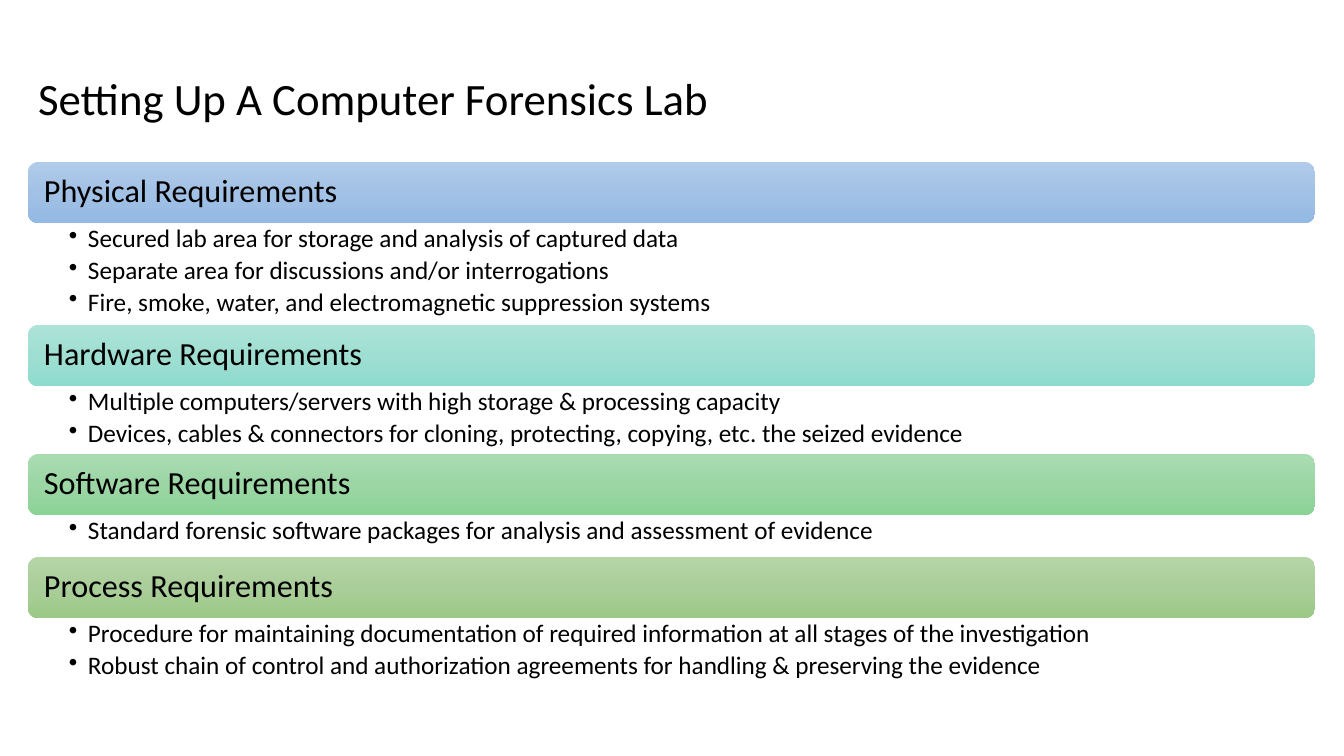
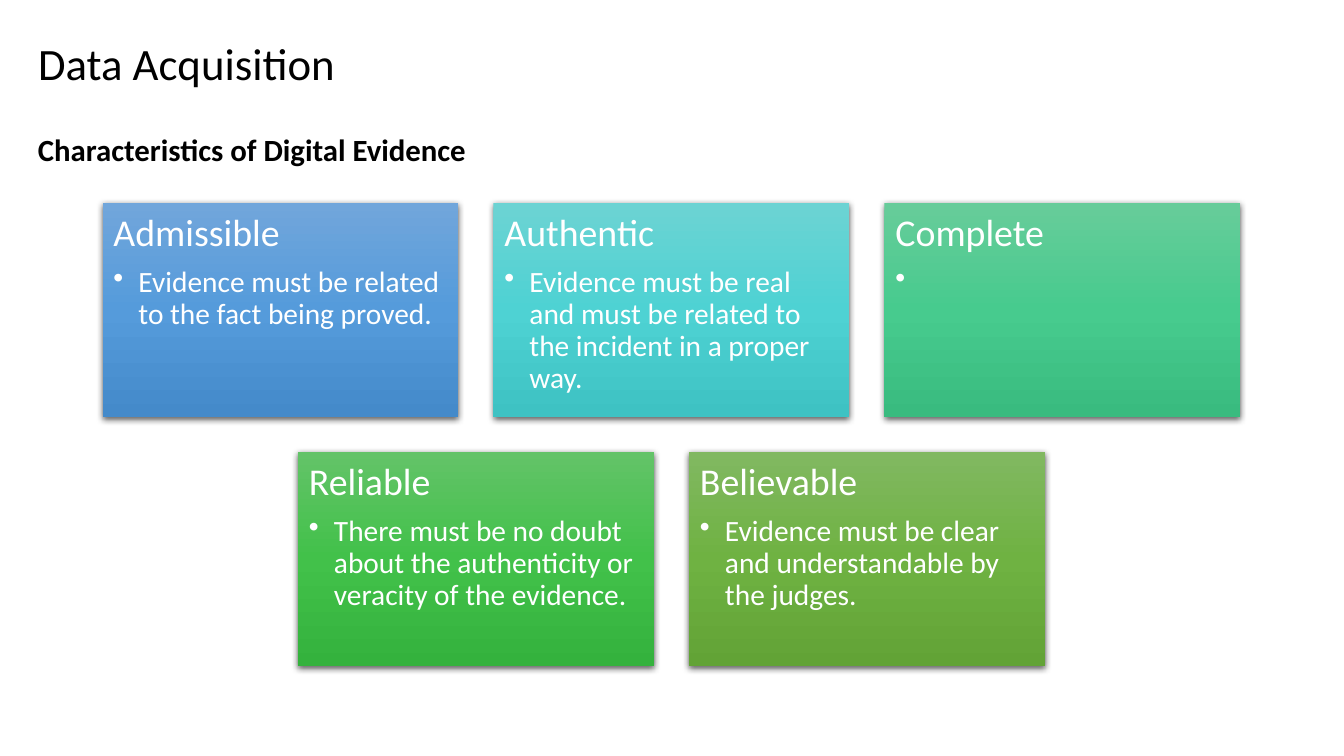
from copy import deepcopy
from dataclasses import dataclass

from lxml import etree
from pptx import Presentation
from pptx.dml.color import RGBColor
from pptx.enum.shapes import MSO_SHAPE
from pptx.enum.text import MSO_ANCHOR, MSO_AUTO_SIZE, PP_ALIGN
from pptx.oxml.ns import qn
from pptx.util import Pt

RECT, ROUND = MSO_SHAPE.RECTANGLE, MSO_SHAPE.ROUNDED_RECTANGLE
TOP, MIDDLE = MSO_ANCHOR.TOP, MSO_ANCHOR.MIDDLE
LEFT, JUSTIFY = PP_ALIGN.LEFT, PP_ALIGN.JUSTIFY
NO_FIT = MSO_AUTO_SIZE.NONE
TITLE_ONLY = 5
SCALE = 914400 / 100.8
WIDTH, HEIGHT = 1344, 756
MARGIN, CONTENT_W, TITLE_H = 28, 1287, 126
BAND_H = 61
CARD_W, CARD_H, CARD_GAP = 356, 214, 35


@dataclass(frozen=True)
class Theme:
    font: str = "Calibri"
    dark: str = "000000"
    light: str = "FFFFFF"
    title: int = 32
    subtitle: int = 22
    band: int = 23
    band_item: int = 18
    card: int = 27
    card_item: int = 21
    bands: tuple = (
        ("B1CBE9", "A3C1E5", "93B9E4"),
        ("ADE3D9", "9FDED2", "8EDCCE"),
        ("AADCB2", "9CD6A5", "8AD396"),
        ("B5D5A7", "AACE9A", "9CC987"),
    )
    cards: tuple = (
        ("71A6DB", "559BDB", "448ACA"),
        ("6CD3D3", "4ED2D3", "3EC2C3"),
        ("67CC9A", "47CB8E", "39BB7F"),
        ("63C368", "42C14A", "34B23D"),
        ("81B861", "6FB242", "62A336"),
    )


THEME = Theme()

REQUIREMENTS = [
    ("Physical Requirements", 102, [
        "Secured lab area for storage and analysis of captured data",
        "Separate area for discussions and/or interrogations",
        "Fire, smoke, water, and electromagnetic suppression systems"]),
    ("Hardware Requirements", 68, [
        "Multiple computers/servers with high storage & processing capacity",
        "Devices, cables & connectors for cloning, protecting, copying, etc. the seized evidence"]),
    ("Software Requirements", 42, [
        "Standard forensic software packages for analysis and assessment of evidence"]),
    ("Process Requirements", 68, [
        "Procedure for maintaining documentation of required information at all stages of the investigation",
        "Robust chain of control and authorization agreements for handling & preserving the evidence"]),
]

CHARACTERISTICS = [
    [("Admissible", "Evidence must be related to the fact being proved."),
     ("Authentic", "Evidence must be real and must be related to the incident in a proper way."),
     ("Complete", "\t")],
    [("Reliable", "There must be no doubt about the authenticity or veracity of the evidence."),
     ("Believable", "Evidence must be clear and understandable by the judges.")],
]


def px(n):
    return round(n * SCALE)


def box_emu(box):
    return [px(n) for n in box]


def set_frame(tf, insets=(10, 5, 10, 5), anchor=TOP):
    tf.word_wrap = True
    tf.auto_size = NO_FIT
    tf.vertical_anchor = anchor
    tf.margin_left, tf.margin_top, tf.margin_right, tf.margin_bottom = box_emu(insets)


def add_text(tf, text, size, color=THEME.dark, bold=False, align=LEFT,
             spacing=None, after=0, bullet=0):
    p = tf.paragraphs[0]
    if p.runs:
        p = tf.add_paragraph()
    p.alignment = align
    p.line_spacing = spacing
    p.space_before, p.space_after = Pt(0), Pt(after)
    if bullet:
        p.level = 1
        pPr = p._p.get_or_add_pPr()
        pPr.set("marL", str(px(bullet)))
        pPr.set("indent", str(-px(bullet)))
        etree.SubElement(pPr, qn("a:buChar")).set("char", "•")
    r = p.add_run()
    r.text = text
    r.font.name, r.font.size, r.font.bold = THEME.font, Pt(size), bold
    r.font.color.rgb = RGBColor.from_string(color)


def add_shadow(sp):
    effects = sp._element.spPr.find(qn("a:effectLst"))
    shadow = etree.SubElement(effects, qn("a:outerShdw"), blurRad=str(Pt(4.5)),
                              dist=str(Pt(1.5)), dir="5400000", rotWithShape="0")
    color = etree.SubElement(shadow, qn("a:srgbClr"), val=THEME.dark)
    etree.SubElement(color, qn("a:alpha"), val="63000")


def add_panel(s, kind, box, colors):
    sp = s.shapes.add_shape(kind, *box_emu(box))
    sp.shadow.inherit = False
    sp.line.fill.background()
    sp.fill.gradient()
    sp.fill.gradient_angle = 270
    stops = sp._element.spPr.find(".//" + qn("a:gsLst"))
    stops.append(deepcopy(stops[-1]))
    for stop, position, color in zip(sp.fill.gradient_stops, (0, 0.5, 1), colors):
        stop.position = position
        stop.color.rgb = RGBColor.from_string(color)
    return sp


def add_title_slide(prs, title, top):
    s = prs.slides.add_slide(prs.slide_layouts[TITLE_ONLY])
    sp = s.shapes.title
    sp.left, sp.top, sp.width, sp.height = box_emu((MARGIN, top, CONTENT_W, TITLE_H))
    set_frame(sp.text_frame, anchor=MIDDLE)
    add_text(sp.text_frame, title, THEME.title)
    return s


def add_requirement(s, box, heading, items, colors):
    x, y, w, h = box
    band = add_panel(s, ROUND, (x, y, w, BAND_H), colors)
    set_frame(band.text_frame, (13, 13, 13, 13), MIDDLE)
    add_text(band.text_frame, heading, THEME.band, spacing=0.9)
    body = s.shapes.add_textbox(*box_emu((x, y + BAND_H, w, h - BAND_H)))
    set_frame(body.text_frame, (41, 3, 18, 3))
    for item in items:
        add_text(body.text_frame, item, THEME.band_item, spacing=0.9, after=3.4, bullet=19)


def add_card(s, box, heading, detail, colors):
    sp = add_panel(s, RECT, box, colors)
    add_shadow(sp)
    tf = sp.text_frame
    set_frame(tf, (11, 11, 11, 11))
    add_text(tf, heading, THEME.card, THEME.light, spacing=0.9, after=9)
    add_text(tf, detail, THEME.card_item, THEME.light, spacing=0.9, after=3, bullet=25)


def add_cards(s, box, rows):
    x, y, w, h = box
    palette = iter(THEME.cards)
    for i, row in enumerate(rows):
        row_w = len(row) * (CARD_W + CARD_GAP) - CARD_GAP
        left = x + (w - row_w) / 2
        top = y + i * (CARD_H + CARD_GAP)
        for j, (heading, detail) in enumerate(row):
            card = (left + j * (CARD_W + CARD_GAP), top, CARD_W, CARD_H)
            add_card(s, card, heading, detail, next(palette))


def build_lab_slide(prs):
    s = add_title_slide(prs, "Setting Up A Computer Forensics Lab", 35)
    y = 162
    for (heading, body_h, items), colors in zip(REQUIREMENTS, THEME.bands):
        h = BAND_H + body_h
        add_requirement(s, (MARGIN, y, CONTENT_W, h), heading, items, colors)
        y += h


def build_evidence_slide(prs):
    s = add_title_slide(prs, "Data Acquisition", 0)
    subtitle = s.shapes.add_textbox(*box_emu((MARGIN, TITLE_H, CONTENT_W, 539)))
    set_frame(subtitle.text_frame)
    add_text(subtitle.text_frame, "Characteristics of Digital Evidence", THEME.subtitle,
             bold=True, align=JUSTIFY, after=12)
    add_cards(s, (MARGIN, 203, CONTENT_W, 463), CHARACTERISTICS)


prs = Presentation()
prs.slide_width, prs.slide_height = px(WIDTH), px(HEIGHT)
build_lab_slide(prs)
build_evidence_slide(prs)
prs.save("out.pptx")
